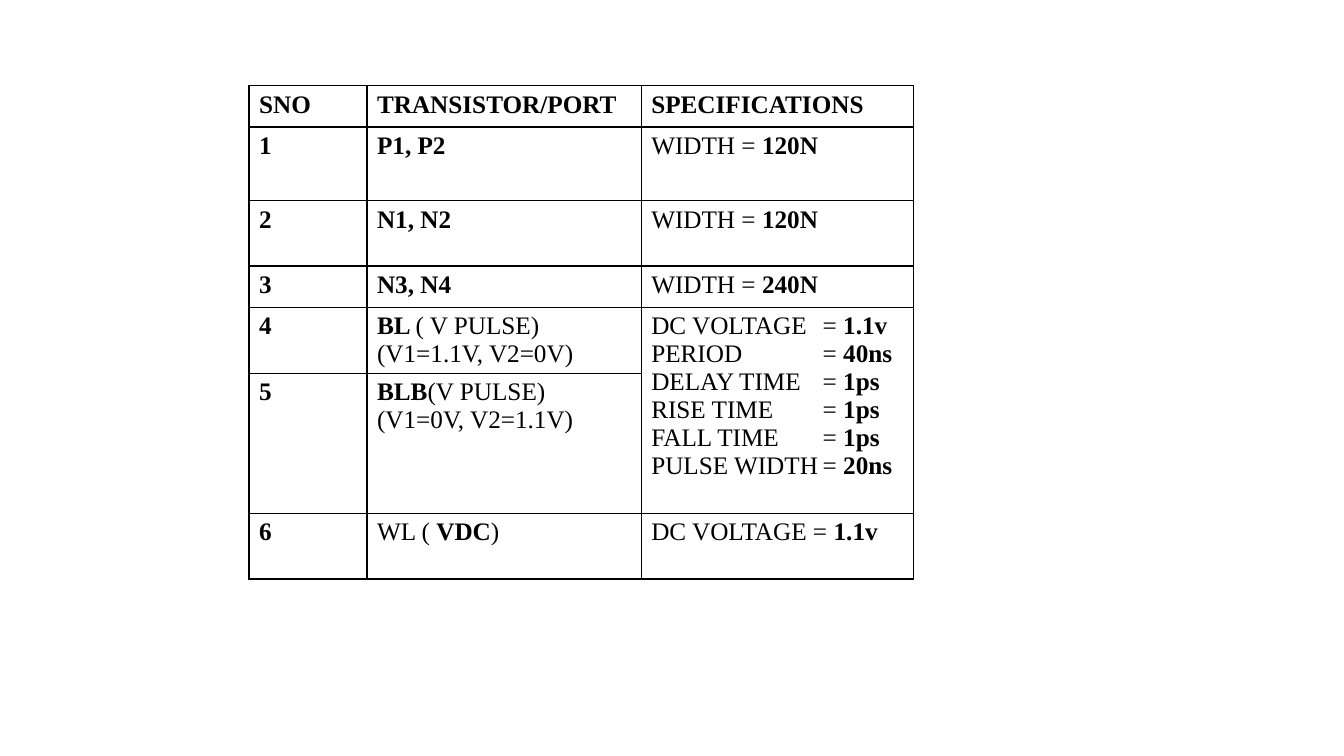
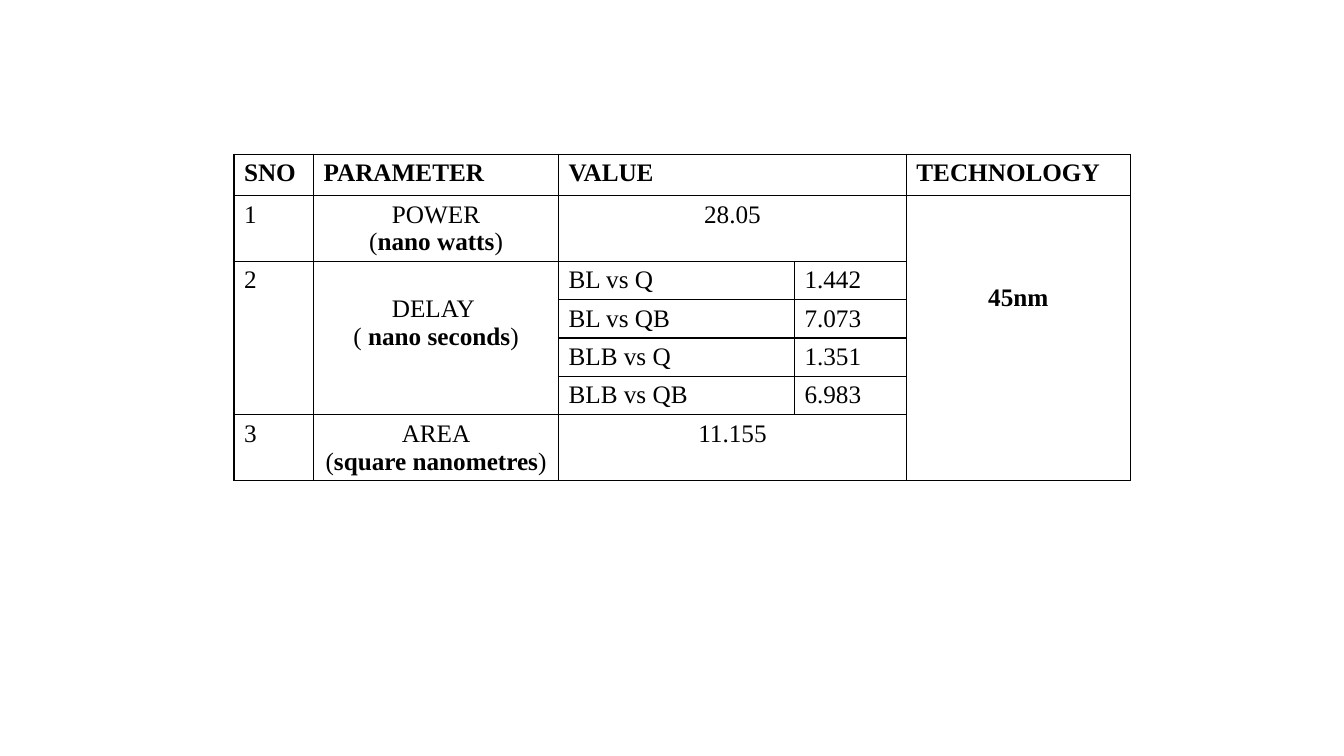
from dataclasses import dataclass

from lxml.etree import SubElement
from pptx import Presentation
from pptx.dml.color import RGBColor
from pptx.enum.text import PP_ALIGN
from pptx.oxml import parse_xml
from pptx.oxml.ns import nsdecls, qn
from pptx.util import Inches, Pt


@dataclass(frozen=True)
class Theme:
    font: str = "Times New Roman"
    ink: str = "000000"
    body_size: int = 18
    border_width: int = 1


@dataclass(frozen=True)
class Box:
    left: float
    top: float


THEME = Theme()
TEXT_FORMAT = {"name": THEME.font, "size": Pt(THEME.body_size)}
TABLE_FORMAT = {"first_row": False, "horz_banding": False}
BLANK_LAYOUT = 6


# Text: parts between asterisks are bold
def write_line(paragraph, line, align=None, tab=None):
    if tab:
        tabs = SubElement(paragraph._p.get_or_add_pPr(), qn("a:tabLst"))
        SubElement(tabs, qn("a:tab"), pos=str(Inches(tab)), algn="l")
    paragraph.alignment = align
    for index, part in enumerate(line.split("*")):
        if part:
            run = paragraph.add_run()
            run.text = part
            for key, value in TEXT_FORMAT.items():
                setattr(run.font, key, value)
            run.font.bold = index % 2 == 1
            run.font.color.rgb = RGBColor.from_string(THEME.ink)


def write_cell(cell, text, align=None, tab=None):
    frame = cell.text_frame
    for index, line in enumerate(text.split("\n")):
        paragraph = frame.add_paragraph() if index else frame.paragraphs[0]
        write_line(paragraph, line, align, tab if "\t" in line else None)


# Cell borders come before the fill in the cell properties
def rule_cell(cell):
    cell.fill.background()
    properties = cell._tc.get_or_add_tcPr()
    for index, side in enumerate(("lnL", "lnR", "lnT", "lnB")):
        properties.insert(index, parse_xml(
            f'<a:{side} {nsdecls("a")} w="{Pt(THEME.border_width)}"><a:solidFill>'
            f'<a:srgbClr val="{THEME.ink}"/></a:solidFill></a:{side}>'))


# Ruled grid; None marks a cell covered by a span
def add_ruled_table(slide, box, widths, heights, rows, spans, centred=(), tab=None):
    table = slide.shapes.add_table(
        len(heights), len(widths), Inches(box.left), Inches(box.top),
        Inches(sum(widths)), Inches(sum(heights))).table
    for key, value in TABLE_FORMAT.items():
        setattr(table, key, value)
    for column, width in zip(table.columns, widths):
        column.width = Inches(width)
    for row, height in zip(table.rows, heights):
        row.height = Inches(height)
    for (row, column), (down, across) in spans.items():
        table.cell(row, column).merge(table.cell(row + down - 1, column + across - 1))
    for r, texts in enumerate(rows):
        for c, text in enumerate(texts):
            cell = table.cell(r, c)
            rule_cell(cell)
            if text is not None:
                align = PP_ALIGN.CENTER if (r, c) in centred else None
                write_cell(cell, text, align, tab)
    return table


# Transistor and port specifications
def add_specifications_slide(slide, box):
    pulse = "\n".join(f"{label}\t= *{value}*" for label, value in (
        ("DC VOLTAGE", "1.1v"), ("PERIOD", "40ns"), ("DELAY TIME", "1ps"),
        ("RISE TIME", "1ps"), ("FALL TIME", "1ps"), ("PULSE WIDTH", "20ns")))
    rows = [
        ("*SNO*", "*TRANSISTOR/PORT*", "*SPECIFICATIONS*"),
        ("*1*", "*P1, P2*", "WIDTH = *120N*"),
        ("*2*", "*N1, N2*", "WIDTH = *120N*"),
        ("*3*", "*N3, N4*", "WIDTH = *240N*"),
        ("*4*", "*BL *( V PULSE)\n(V1=1.1V, V2=0V)", pulse),
        ("*5*", "*BLB*(V PULSE)\n(V1=0V, V2=1.1V)", None),
        ("*6*", "WL ( *VDC*)", "DC VOLTAGE = *1.1v*"),
    ]
    add_ruled_table(slide, box, (1.17, 2.72, 2.7),
                    (0.41, 0.73, 0.65, 0.41, 0.65, 1.39, 0.65),
                    rows, {(4, 2): (2, 1)}, tab=1.7)


# Measured power, delay and area
def add_results_slide(slide, box):
    rows = [
        ("*SNO*", "*PARAMETER*", "*VALUE*", None, "*TECHNOLOGY*"),
        ("1", "POWER\n(*nano watts*)", "28.05", None, "*45nm*"),
        ("2", "DELAY \n( *nano seconds*)", "BL vs Q", "1.442", None),
        (None, None, "BL vs QB", "7.073", None),
        (None, None, "BLB vs Q", "1.351", None),
        (None, None, "BLB vs QB", "6.983", None),
        ("3", "AREA\n(*square nanometres*)", "11.155", None, None),
    ]
    spans = {(0, 2): (1, 2), (1, 2): (1, 2), (6, 2): (1, 2),
             (1, 4): (6, 1), (2, 0): (4, 1), (2, 1): (4, 1)}
    centred = {(1, 1), (1, 2), (1, 4), (2, 1), (6, 1), (6, 2)}
    table = add_ruled_table(slide, box, (0.79, 2.43, 2.34, 1.11, 2.22),
                            (0.41, 0.65, *[0.38] * 4, 0.65),
                            rows, spans, centred)
    # Lower the text of the tall cells
    for position, margin in {(1, 4): 0.88, (2, 1): 0.33}.items():
        table.cell(*position).margin_top = Inches(margin)


def main():
    deck = Presentation()
    deck.slide_width, deck.slide_height = Inches(13.33), Inches(7.5)
    for build, box in ((add_specifications_slide, Box(2.47, 0.85)),
                       (add_results_slide, Box(2.32, 1.53))):
        build(deck.slides.add_slide(deck.slide_layouts[BLANK_LAYOUT]), box)
    deck.save("out.pptx")


if __name__ == "__main__":
    main()
